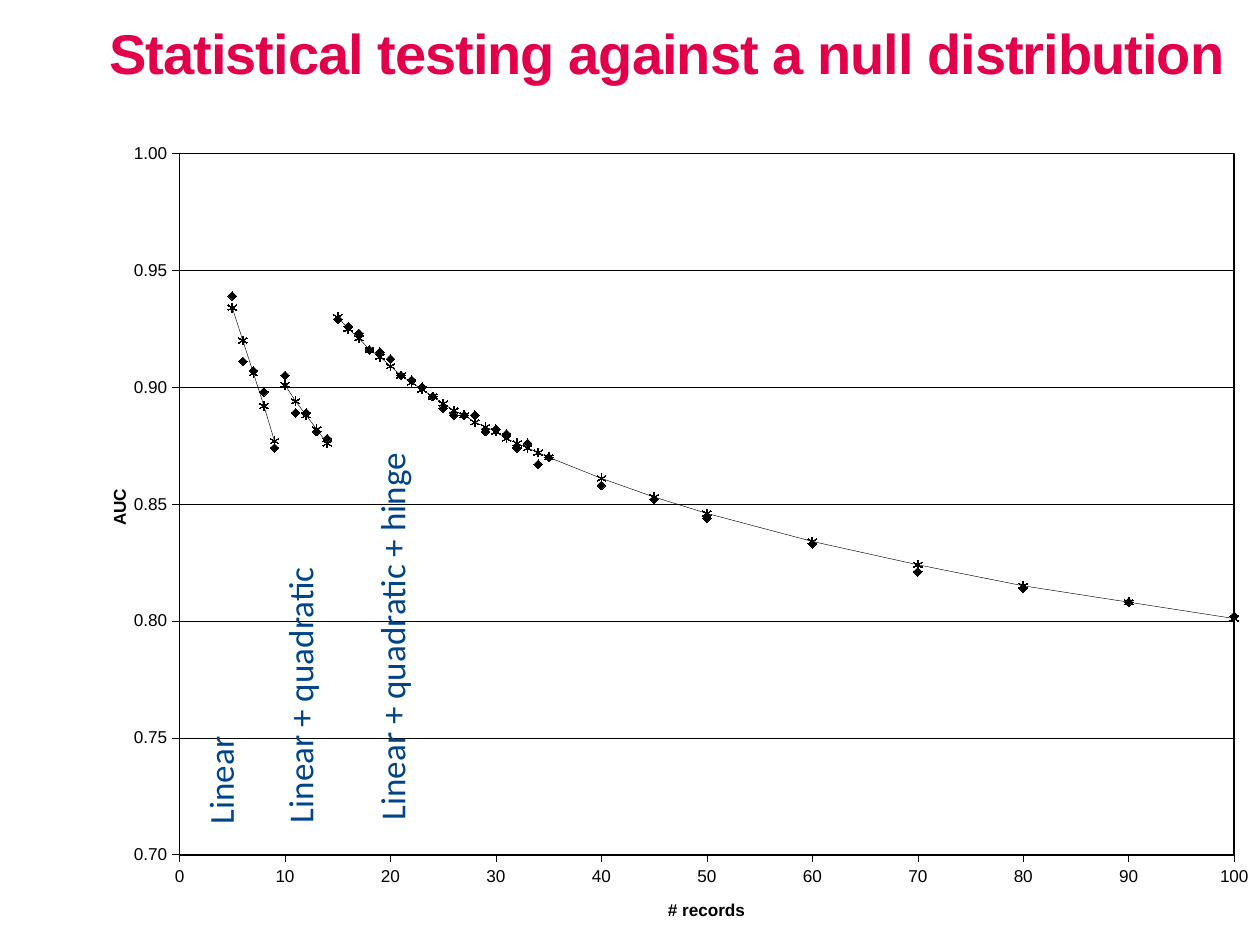
from dataclasses import dataclass

from lxml.etree import SubElement
from pptx import Presentation
from pptx.chart.data import XyChartData
from pptx.dml.color import RGBColor
from pptx.enum.chart import XL_CHART_TYPE, XL_MARKER_STYLE, XL_TICK_MARK
from pptx.enum.text import MSO_AUTO_SIZE
from pptx.oxml import parse_xml
from pptx.oxml.ns import nsdecls, qn
from pptx.util import Inches, Pt


@dataclass(frozen=True)
class Theme:
    title_color: RGBColor = RGBColor(0xE3, 0x00, 0x4A)
    label_color: RGBColor = RGBColor(0x00, 0x44, 0x89)
    ink: RGBColor = RGBColor(0, 0, 0)
    title_font: str = "Arial"
    label_font: str = "Calibri"
    title_size: float = 32
    label_size: float = 20
    chart_size: float = 9.8
    line_width: float = 0.25


THEME = Theme()

# Record counts: every one up to 35, then wider steps
RECORDS = [*range(5, 36), 40, 45, *range(50, 101, 10), 150]

TESTED = [
    0.939, 0.911, 0.907, 0.898, 0.874, 0.905, 0.889, 0.889, 0.881, 0.878,
    0.929, 0.926, 0.923, 0.916, 0.915, 0.912, 0.905, 0.903, 0.9, 0.896,
    0.891, 0.888, 0.888, 0.888, 0.881, 0.882, 0.88, 0.874, 0.876, 0.867,
    0.87, 0.858, 0.852, 0.844, 0.833, 0.821, 0.814, 0.808, 0.802, 0.782,
]
LINEAR = [0.934, 0.92, 0.906, 0.892, 0.877]
QUADRATIC = [0.901, 0.894, 0.888, 0.882, 0.876]
HINGE = [
    0.93, 0.925, 0.921, 0.916, 0.913, 0.909, 0.905, 0.902, 0.899, 0.896,
    0.893, 0.89, 0.888, 0.885, 0.883, 0.881, 0.878, 0.876, 0.874, 0.872,
    0.87, 0.861, 0.853, 0.846, 0.834, 0.824, 0.815, 0.808, 0.801, 0.776,
]

# x values, y values, marker, whether a curve joins the points
SERIES = [
    ([10, 10], [1, 0], XL_MARKER_STYLE.NONE, False),
    ([15, 15], [1, 0], XL_MARKER_STYLE.NONE, False),
    (RECORDS, TESTED, XL_MARKER_STYLE.DIAMOND, False),
    (RECORDS[:5], LINEAR, XL_MARKER_STYLE.STAR, True),
    (RECORDS[5:10], QUADRATIC, XL_MARKER_STYLE.STAR, True),
    (RECORDS[10:], HINGE, XL_MARKER_STYLE.STAR, True),
]

# Text, left, top, height
MODEL_LABELS = [
    ("Linear", 1.53, 5.64, 1),
    ("Linear + quadratic", 2.16, 4.14, 2.49),
    ("Linear + quadratic + hinge", 2.89, 2.83, 3.78),
]


def draw_line(line):
    line.color.rgb = THEME.ink
    line.width = Pt(THEME.line_width)


def place(element, position, **values):
    """Give a chart part a manual layout, in fractions of the chart."""
    for old in element.findall(qn("c:layout")):
        element.remove(old)
    layout = parse_xml(f"<c:layout {nsdecls('c')}/>")
    manual = SubElement(layout, qn("c:manualLayout"))
    for name, value in values.items():
        SubElement(manual, qn(f"c:{name}")).set("val", str(value))
    element.insert(position, layout)


def style_axis(axis, title, low, high, step, number_format, left, top):
    axis.minimum_scale, axis.maximum_scale, axis.major_unit = low, high, step
    axis.major_tick_mark = XL_TICK_MARK.OUTSIDE
    axis.minor_tick_mark = XL_TICK_MARK.NONE
    axis.tick_labels.number_format = number_format
    axis.tick_labels.number_format_is_linked = False
    draw_line(axis.format.line)

    frame = axis.axis_title.text_frame
    frame.text = title
    font = frame.paragraphs[0].font
    font.name, font.size, font.bold = THEME.title_font, Pt(THEME.chart_size), True
    font.color.rgb = THEME.ink
    place(axis.axis_title._element, 1, xMode="edge", yMode="edge", x=left, y=top)


def style_series(series, marker, joined):
    series.smooth = True
    if joined:
        draw_line(series.format.line)
    else:
        series.format.line.fill.background()
    series.marker.style = marker
    if marker != XL_MARKER_STYLE.NONE:
        series.marker.size = 5
        series.marker.format.fill.solid()
        series.marker.format.fill.fore_color.rgb = THEME.ink
        draw_line(series.marker.format.line)


def add_auc_chart(page):
    data = XyChartData()
    for number, (xs, ys, _, _) in enumerate(SERIES, 1):
        series = data.add_series(f"Series {number}")
        for x, y in zip(xs, ys):
            series.add_data_point(x, y)
    chart = page.shapes.add_chart(
        XL_CHART_TYPE.XY_SCATTER_LINES, Inches(0.74), Inches(0.99),
        Inches(9.26), Inches(6.51), data).chart
    chart.has_legend = False
    chart.has_title = False
    chart.font.name = THEME.title_font
    chart.font.size = Pt(THEME.chart_size)
    chart.font.color.rgb = THEME.ink
    chart.plots[0].vary_by_categories = False

    # Axes and gridlines
    style_axis(chart.category_axis, "# records", 0, 100, 10, "General", 0.49, 0.94)
    style_axis(chart.value_axis, "AUC", 0.7, 1, 0.05, "0.00", 0.01, 0.44)
    chart.category_axis.has_major_gridlines = False
    chart.value_axis.has_major_gridlines = True
    draw_line(chart.value_axis.major_gridlines.format.line)

    for series, (_, _, marker, joined) in zip(chart.plots[0].series, SERIES):
        style_series(series, marker, joined)

    # Plot area: fixed place and a thin frame
    plot_area = chart._chartSpace.chart.plotArea
    place(plot_area, 0, layoutTarget="inner", xMode="edge", yMode="edge",
          x=0.074, y=0.035, w=0.904, h=0.855)
    plot_area.append(parse_xml(
        f'<c:spPr {nsdecls("c", "a")}><a:noFill/><a:ln w="{Pt(1)}"><a:solidFill>'
        f'<a:srgbClr val="{THEME.ink}"/></a:solidFill></a:ln></c:spPr>'))


def add_text(page, text, left, top, width, height, name, size, color):
    box = page.shapes.add_textbox(
        Inches(left), Inches(top), Inches(width), Inches(height))
    frame = box.text_frame
    frame.word_wrap = True
    frame.auto_size = MSO_AUTO_SIZE.SHAPE_TO_FIT_TEXT
    para = frame.paragraphs[0]
    para.text = text
    para.font.name, para.font.size = name, Pt(size)
    para.font.color.rgb = color
    return frame


def add_title(page):
    frame = add_text(page, "Statistical testing against a null distribution",
                     0.83, 0.13, 9.17, 0.58,
                     THEME.title_font, THEME.title_size, THEME.title_color)
    frame.margin_left = frame.margin_right = Inches(0.04)
    frame.margin_top = frame.margin_bottom = Inches(0.02)
    para = frame.paragraphs[0]
    para.font.bold = True
    # Slightly tightened letter spacing
    para.runs[0].font._element.set("spc", "-60")


def add_model_label(page, text, left, top, height):
    frame = add_text(page, text, left, top, 0.54, height,
                     THEME.label_font, THEME.label_size, THEME.label_color)
    frame._txBody.bodyPr.set("vert", "vert270")


def main():
    deck = Presentation()
    deck.slide_width, deck.slide_height = Inches(10), Inches(7.5)
    page = deck.slides.add_slide(deck.slide_layouts[6])
    add_auc_chart(page)
    for label in MODEL_LABELS:
        add_model_label(page, *label)
    add_title(page)
    deck.save("out.pptx")


if __name__ == "__main__":
    main()
